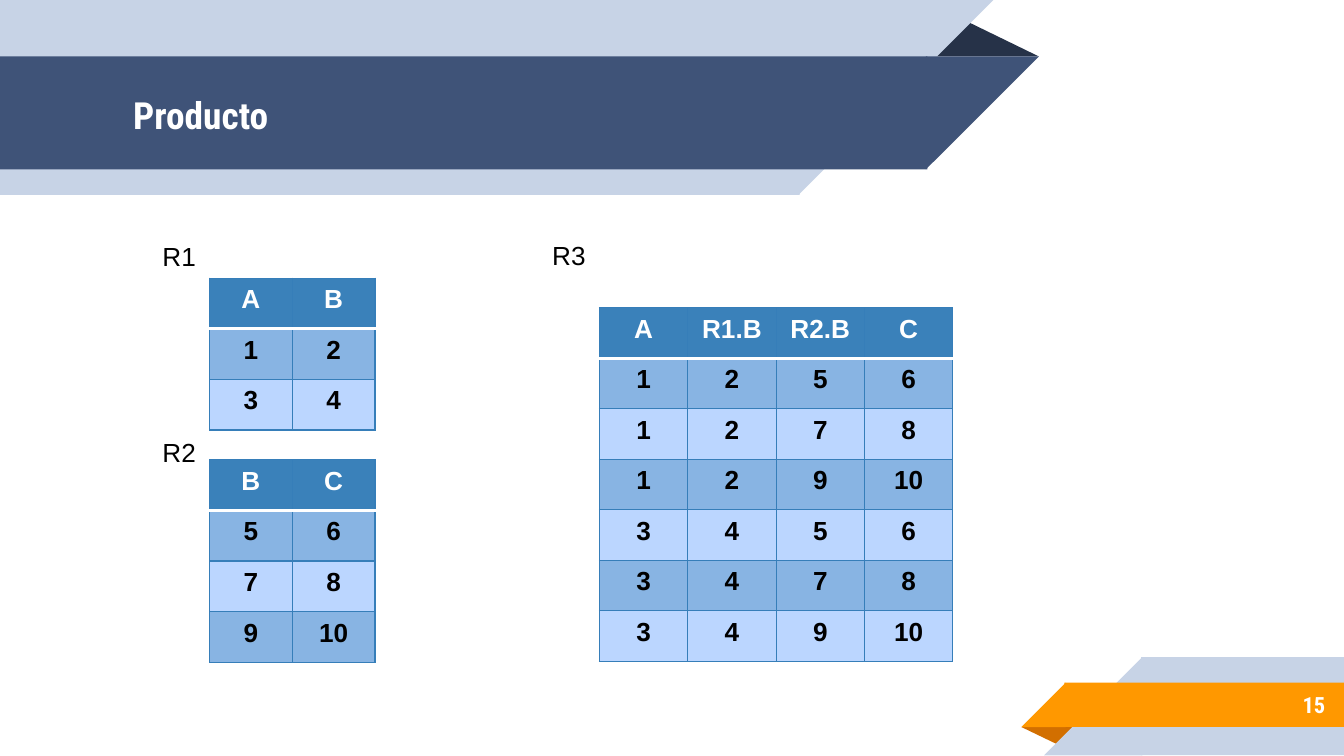
"""Build the slide that shows the product of two relations."""
from dataclasses import dataclass
from itertools import product

from lxml.etree import SubElement
from pptx import Presentation
from pptx.dml.color import RGBColor as Rgb
from pptx.enum.shapes import MSO_SHAPE as Shape
from pptx.enum.text import MSO_ANCHOR as Anchor, MSO_AUTO_SIZE as AutoSize, PP_ALIGN as Align
from pptx.oxml.ns import qn
from pptx.util import Inches, Pt


@dataclass(frozen=True)
class Theme:
    pale: str = "C7D3E6"
    navy: str = "3F5378"
    navy_fold: str = "263248"
    orange: str = "FF9800"
    orange_fold: str = "D26F00"
    white: str = "FFFFFF"
    ink: str = "000000"
    header: str = "3A81BA"
    odd_row: str = "88B4E3"
    even_row: str = "BBD6FF"
    grid: str = "367EB9"
    display_font: str = "Roboto Condensed"
    body_font: str = "Arial"
    title_size: int = 20
    body_size: int = 14
    number_size: int = 12
    grid_width: float = 0.75
    rule_width: float = 2
    seam: float = 0.01


class SlideBuilder:
    def __init__(self, slide, theme):
        self.slide = slide
        self.theme = theme

    def shape(self, kind, box, color, rotation=0, mirrored=False):
        part = self.slide.shapes.add_shape(kind, *map(Inches, box))
        part.shadow.inherit = False
        part.fill.solid()
        part.fill.fore_color.rgb = Rgb.from_string(color)
        part.line.fill.background()
        part.rotation = rotation
        if mirrored:
            part.element.spPr.get_or_add_xfrm().set("flipH", "1")
        return part

    def fold(self, box, color, rotation=0):
        self.shape(Shape.ISOSCELES_TRIANGLE, box, color, rotation).adjustments[0] = 0.324

    def top_ribbon(self, top, width, height, color):
        self.shape(Shape.RECTANGLE, (0, top, width + self.theme.seam, height), color)
        self.shape(Shape.RIGHT_TRIANGLE, (width, top, height, height), color, 180, True)

    def bottom_ribbon(self, left, top, height, color):
        body_left = left + height - self.theme.seam
        self.shape(Shape.RECTANGLE, (body_left, top, 10 - body_left, height), color)
        self.shape(Shape.RIGHT_TRIANGLE, (left, top, height, height), color, 0, True)

    def format_text(self, frame, font, size, color, bold=False, align=Align.LEFT):
        for paragraph in frame.paragraphs:
            paragraph.alignment = align
            for run in paragraph.runs:
                run.font.name = font
                run.font.size = Pt(size)
                run.font.bold = bold
                run.font.color.rgb = Rgb.from_string(color)

    def banner_text(self, holder, text, size, align=Align.LEFT):
        frame = holder.text_frame
        frame.text = text
        frame.word_wrap = True
        frame.auto_size = AutoSize.NONE
        frame.vertical_anchor = Anchor.MIDDLE
        frame.margin_left = frame.margin_right = Inches(0.1)
        frame.margin_top = frame.margin_bottom = Inches(0.1)
        self.format_text(frame, self.theme.display_font, size, self.theme.white, True, align)

    def title(self, text, box):
        heading = self.slide.shapes.title
        heading.left, heading.top, heading.width, heading.height = map(Inches, box)
        heading.element.getparent().append(heading.element)
        self.banner_text(heading, text, self.theme.title_size)

    def page_number(self, text, box):
        holder = self.slide.shapes.add_textbox(*map(Inches, box))
        self.banner_text(holder, text, self.theme.number_size, Align.RIGHT)

    def label(self, text, left, top):
        box = map(Inches, (left, top, 0.45, 0.34))
        frame = self.slide.shapes.add_textbox(*box).text_frame
        frame.text = text
        frame.word_wrap = False
        frame.auto_size = AutoSize.SHAPE_TO_FIT_TEXT
        self.format_text(frame, self.theme.body_font, self.theme.body_size, self.theme.ink)

    def border(self, cell, side, color, width):
        edge = SubElement(cell._tc.get_or_add_tcPr(), qn(f"a:ln{side}"), w=str(Pt(width)))
        SubElement(SubElement(edge, qn("a:solidFill")), qn("a:srgbClr"), val=color)

    def relation(self, rows, left, top, width, height):
        theme = self.theme
        row_height = Inches(height / len(rows))
        box = map(Inches, (left, top, width, height))
        table = self.slide.shapes.add_table(len(rows), len(rows[0]), *box).table
        table.horz_banding = False
        for column in table.columns:
            column.width = Inches(width / len(rows[0]))
        grid, rule = (theme.grid, theme.grid_width), (theme.white, theme.rule_width)
        for row_index, values in enumerate(rows):
            table.rows[row_index].height = row_height
            is_header = row_index == 0
            band = theme.odd_row if row_index % 2 else theme.even_row
            edges = {"L": grid, "R": grid, "T": rule if row_index == 1 else grid,
                     "B": rule if is_header else grid}
            for column_index, value in enumerate(values):
                cell = table.cell(row_index, column_index)
                cell.text_frame.text = str(value)
                for side, (color, line_width) in edges.items():
                    self.border(cell, side, color, line_width)
                cell.fill.solid()
                cell.fill.fore_color.rgb = Rgb.from_string(theme.header if is_header else band)
                self.format_text(cell.text_frame, theme.body_font, theme.body_size,
                                 theme.white if is_header else theme.ink, True, Align.CENTER)


def main():
    theme = Theme()
    deck = Presentation()
    deck.slide_width = Inches(10)
    deck.slide_height = deck.slide_width * 9 // 16
    builder = SlideBuilder(deck.slides.add_slide(deck.slide_layouts[5]), theme)

    builder.fold((6.88, 0.14, 0.85, 0.28), theme.navy_fold)
    builder.top_ribbon(0, 5.94, 1.45, theme.pale)
    builder.top_ribbon(0.42, 6.89, 0.84, theme.navy)
    builder.fold((7.6, 5.41, 0.43, 0.14), theme.orange_fold, 180)
    builder.bottom_ribbon(7.77, 4.89, 0.73, theme.pale)
    builder.bottom_ribbon(7.6, 5.08, 0.33, theme.orange)
    builder.title("Producto", (0.89, 0.43, 6.01, 0.84))
    builder.page_number("15", (8.33, 5.07, 1.63, 0.35))

    first = [(1, 2), (3, 4)]
    second = [(5, 6), (7, 8), (9, 10)]
    combined = [left + right for left, right in product(first, second)]
    builder.relation([("A", "B"), *first], 1.56, 2.07, 1.23, 1.13)
    builder.label("R1", 1.11, 1.74)
    builder.relation([("B", "C"), *second], 1.56, 3.42, 1.23, 1.51)
    builder.label("R2", 1.11, 3.2)
    builder.label("R3", 4.01, 1.73)
    builder.relation([("A", "R1.B", "R2.B", "C"), *combined], 4.46, 2.29, 2.63, 2.63)

    deck.save("out.pptx")


if __name__ == "__main__":
    main()
